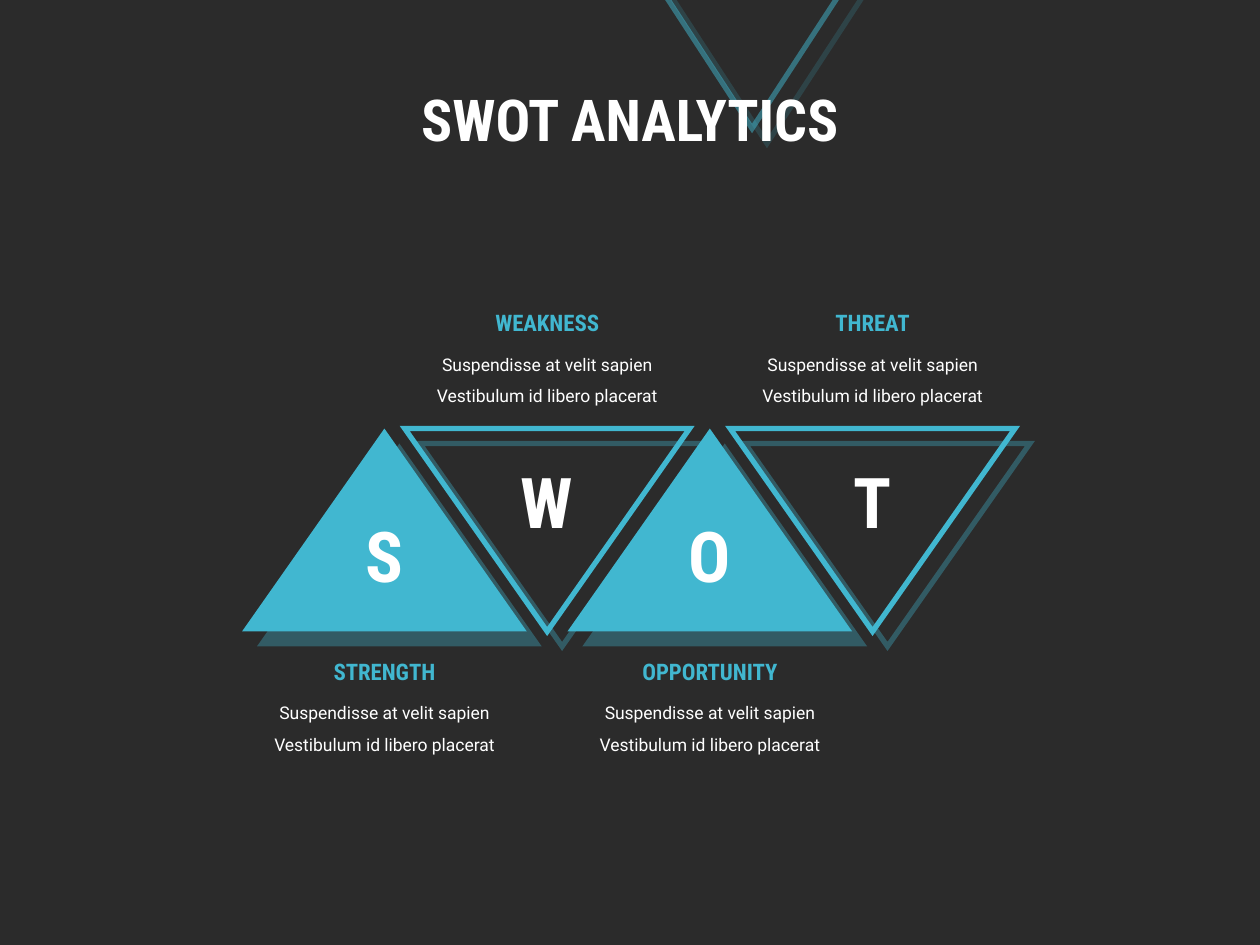
import pptx
import pptx.dml.color
import pptx.enum.shapes
import pptx.enum.text
import pptx.oxml.ns
import pptx.util
from lxml import etree

Cm = pptx.util.Cm
Pt = pptx.util.Pt
RGB = pptx.dml.color.RGBColor
qn = pptx.oxml.ns.qn

DARK = RGB(0x2B, 0x2B, 0x2B)
TEAL = RGB(0x41, 0xB7, 0xD0)
WHITE = RGB(0xFF, 0xFF, 0xFF)
NOTE = "Suspendisse at velit sapien Vestibulum id libero placerat"
PARTS = ["STRENGTH", "WEAKNESS", "OPPORTUNITY", "THREAT"]
FIRST, STEP = 7.75, 3.28


class Deck:
    head = "Roboto Condensed"
    body = "Roboto"

    def __init__(self, slide):
        self.slide = slide
        fill = slide.background.fill
        fill.solid()
        fill.fore_color.rgb = DARK

    def words(self, frame, text, size, color, font, bold=True, space=None):
        frame.word_wrap = True
        frame.text = text
        para = frame.paragraphs[0]
        para.alignment = pptx.enum.text.PP_ALIGN.CENTER
        para.line_spacing = space
        style = para.runs[0].font
        style.name, style.size, style.bold = font, Pt(size), bold
        style.color.rgb = color

    def title(self, text, mid, top, wide, high):
        shape = self.slide.shapes.title
        shape.left, shape.top = Cm(mid - wide / 2), Cm(top)
        shape.width, shape.height = Cm(wide), Cm(high)
        shape.text_frame.vertical_anchor = pptx.enum.text.MSO_ANCHOR.MIDDLE
        self.words(shape.text_frame, text, 33, WHITE, self.head, space=0.9)
        return shape

    def label(self, text, mid, top, wide, high, size, color, font, **style):
        box = self.slide.shapes.add_textbox(
            Cm(mid - wide / 2), Cm(top), Cm(wide), Cm(high))
        self.words(box.text_frame, text, size, color, font, **style)

    def wedge(self, mid, top, wide, high, down=False, alpha=None):
        shape = self.slide.shapes.add_shape(
            pptx.enum.shapes.MSO_SHAPE.ISOSCELES_TRIANGLE,
            Cm(mid - wide / 2), Cm(top), Cm(wide), Cm(high))
        if down:
            shape.rotation = 180
            shape.fill.background()
            shape.line.color.rgb = TEAL
            shape.line.width = Pt(3)
            line = shape.element.spPr.find(qn("a:ln"))
            etree.SubElement(line, qn("a:miter"), lim="800000")
            if alpha:
                tint = line.find(".//" + qn("a:srgbClr"))
                etree.SubElement(tint, qn("a:alpha"), val=str(alpha * 1000))
        else:
            shape.fill.solid()
            shape.fill.fore_color.rgb = TEAL
            shape.line.fill.background()
        self.shade(shape)
        return shape

    def shade(self, shape):
        shape.shadow.inherit = False
        group = shape.element.spPr.find(qn("a:effectLst"))
        cast = etree.SubElement(
            group, qn("a:outerShdw"), blurRad="0", dist=str(int(Pt(12.1))),
            dir=str(45 * 60000), algn="tl", rotWithShape="0")
        tint = etree.SubElement(cast, qn("a:srgbClr"), val=str(TEAL))
        etree.SubElement(tint, qn("a:alpha"), val="35000")


def main():
    show = pptx.Presentation()
    show.slide_width, show.slide_height = Cm(25.4), Cm(19.05)
    deck = Deck(show.slides.add_slide(show.slide_layouts[5]))

    title = deck.title("SWOT ANALYTICS", 12.7, 1.24, 12.95, 2.49)
    accent = deck.wedge(15.16, -0.41, 3.91, 3, down=True, alpha=50)
    title.element.addprevious(accent.element)

    mids = [FIRST + STEP * i for i in range(len(PARTS))]
    for i, mid in enumerate(mids):
        deck.wedge(mid, 8.64, 5.74, 4.09, down=i % 2 == 1)
    for i, (mid, part) in enumerate(zip(mids, PARTS)):
        down = i % 2 == 1
        top = 6.1 if down else 13.13
        deck.label(part[0], mid, 9.12 if down else 10.21, 1.93, 1.96,
                   40, WHITE, deck.head)
        deck.label(NOTE, mid, top + 0.69, 5.66, 1.52,
                   10, WHITE, deck.body, bold=False, space=1.5)
        deck.label(part, mid, top, 4.67, 0.81, 13, TEAL, deck.head)

    show.save("out.pptx")


if __name__ == "__main__":
    main()
